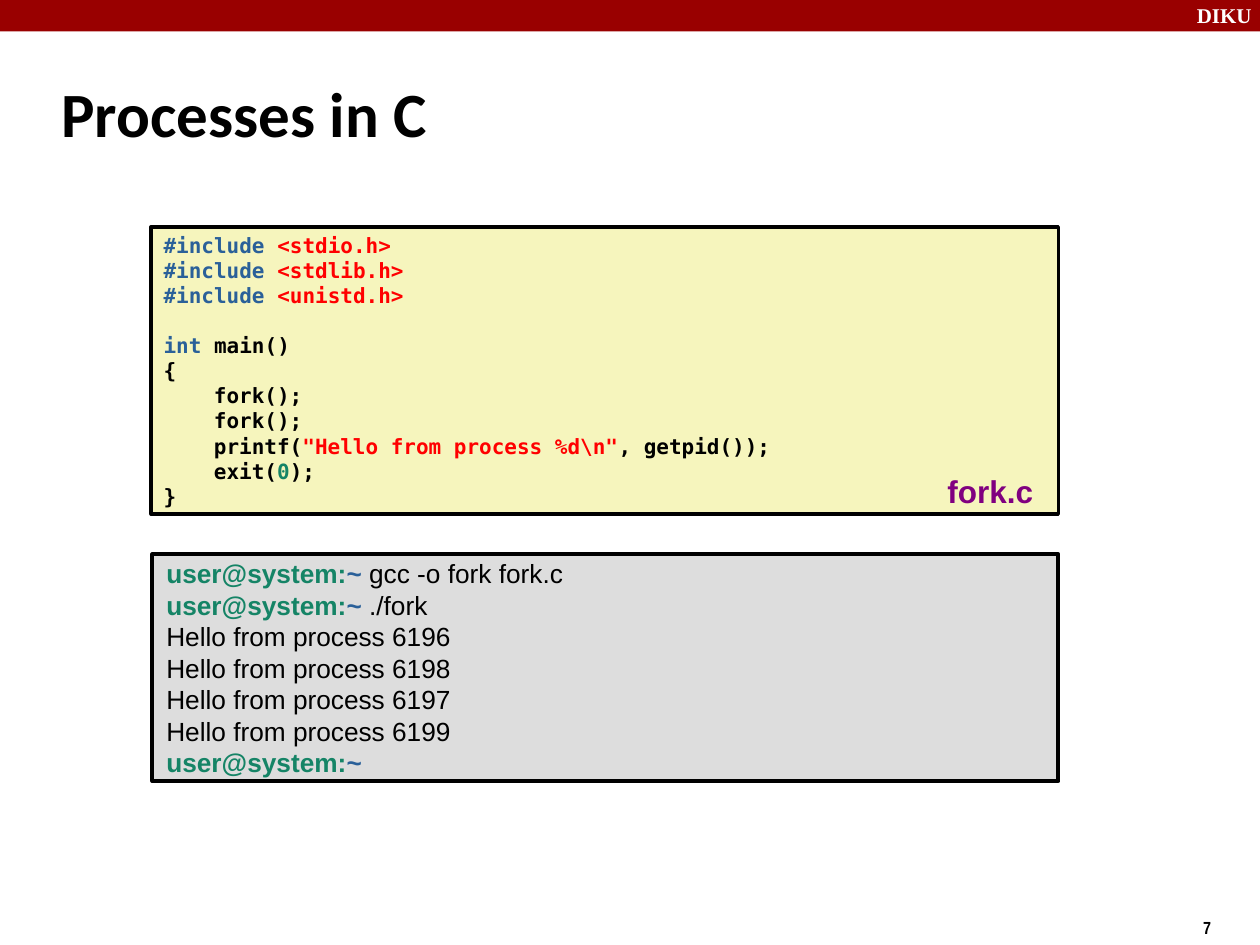
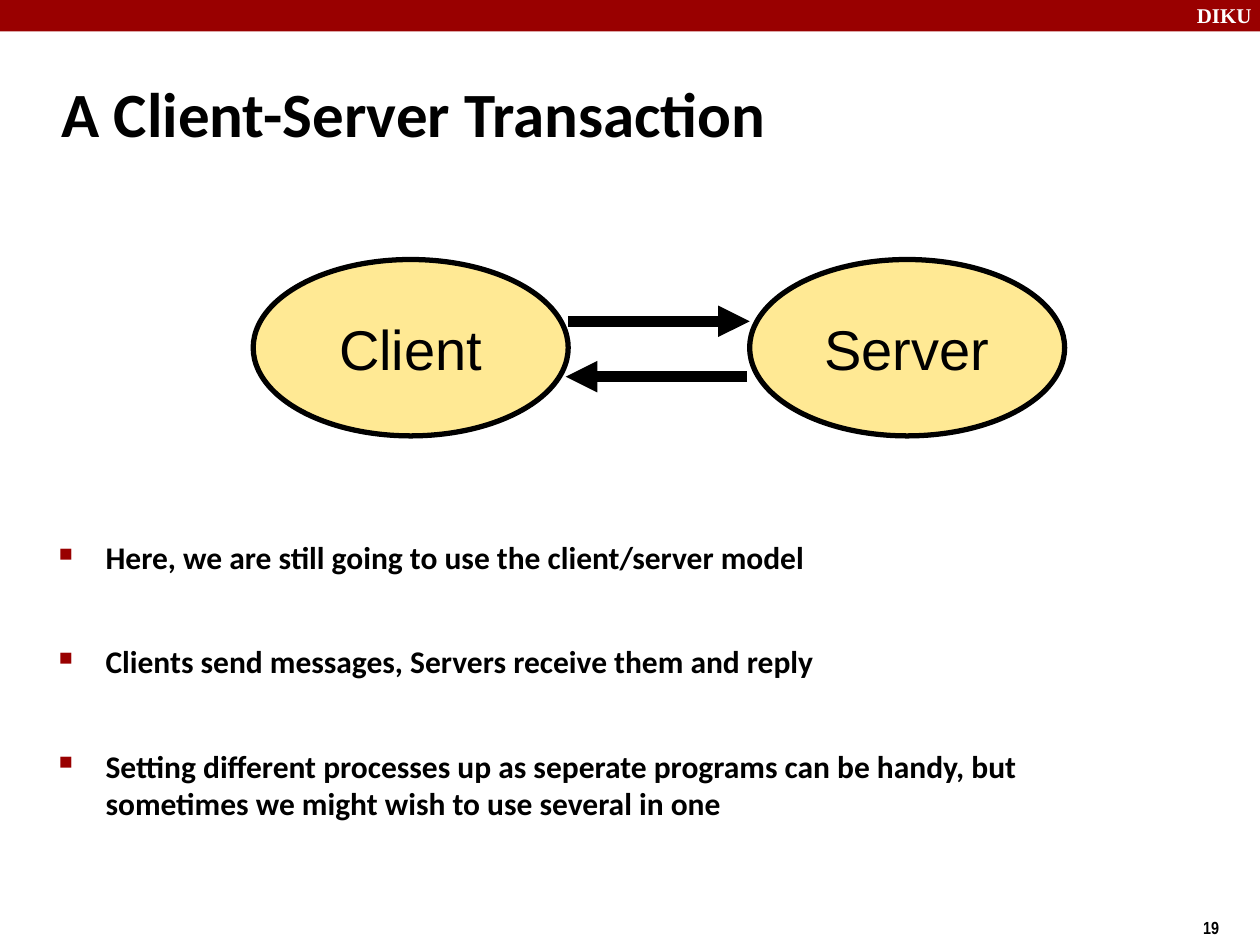
from lxml.etree import SubElement
from pptx import Presentation
from pptx.dml.color import RGBColor as Rgb
from pptx.enum.shapes import MSO_CONNECTOR as Conn, MSO_SHAPE as Geo
from pptx.enum.text import MSO_ANCHOR as Anchor, PP_ALIGN as Align
from pptx.oxml.ns import qn
from pptx.util import Inches, Pt

INK = {
    "black": "000000", "white": "FFFFFF", "band": "990000", "code": "F6F5BD",
    "shell": "DDDDDD", "oval": "FFE994", "word": "2A6099", "string": "FF0000",
    "green": "158466", "file": "800080",
}

FONTS = {
    "brand": dict(name="Times New Roman", size=12, bold=True, ink="white"),
    "page": dict(name="Arial Narrow", size=10, bold=True),
    "title": dict(name="Calibri", size=36, bold=True),
    "code": dict(name="DejaVu Sans Mono", size=12, bold=True),
    "shell": dict(name="Arial", size=15, bold=False),
    "file": dict(name="Arial", size=18, bold=True, ink="file"),
    "oval": dict(name="Arial", size=32, bold=False),
    "list": dict(name="Calibri", size=18, bold=True),
}

# A line is a list of runs: plain text, or (text, format changes).
WORD, STRING, NUM = ({"ink": ink} for ink in ("word", "string", "green"))
HEADS = ["stdio", "stdlib", "unistd"]
CODE = [[("#include ", WORD), (f"<{head}.h>", STRING)] for head in HEADS] + [
    [("int", WORD), " main()"],
    ["{"],
    ["fork();"],
    ["fork();"],
    ["printf(", ('"Hello from process %d\\n"', STRING), ", getpid());"],
    ["exit(", ("0", NUM), ");"],
    ["}"],
]
MAIN = len(HEADS)              # line that follows a one-line gap
BODY = range(MAIN + 2, len(CODE) - 1)

PROMPT = [("user@system:", {"ink": "green", "bold": True}),
          ("~", {"ink": "word", "bold": True})]
SHELL = (
    [PROMPT + [f" {cmd}"] for cmd in ("gcc -o fork fork.c", "./fork")]
    + [[f"Hello from process {pid}"] for pid in (6196, 6198, 6197, 6199)]
    + [PROMPT]
)

ROLES = ["Client", "Server"]
POINTS = [
    "Here, we are still going to use the client/server model",
    "Clients send messages, Servers receive them and reply",
    "Setting different processes up as seperate programs can be handy, "
    "but sometimes we might wish to use several in one",
]


def color(ink):
    return Rgb.from_string(INK[ink])


def write(shape, lines, style, anchor=Anchor.TOP, align=Align.LEFT, pad=(0.1, 0.05)):
    """Fill a shape with lines of runs and return the paragraphs."""
    frame = shape.text_frame
    across, down = map(Inches, pad)
    settings = dict(word_wrap=True, vertical_anchor=anchor, margin_left=across,
                    margin_right=across, margin_top=down, margin_bottom=down)
    for key, value in settings.items():
        setattr(frame, key, value)
    for i, line in enumerate(lines):
        para = frame.add_paragraph() if i else frame.paragraphs[0]
        para.alignment = align
        for part in line:
            text, change = (part, {}) if isinstance(part, str) else part
            run = para.add_run()
            run.text = text
            form = {"ink": "black", **FONTS[style], **change}
            run.font.color.rgb = color(form.pop("ink"))
            form["size"] = Pt(form["size"])
            for key, value in form.items():
                setattr(run.font, key, value)
    return frame.paragraphs


def label(slide, box, text, style, **opts):
    shape = slide.shapes.add_textbox(*map(Inches, box))
    return write(shape, [[text]], style, **opts)


def block(slide, geo, box, fill, width=0):
    shape = slide.shapes.add_shape(geo, *map(Inches, box))
    shape.shadow.inherit = False
    shape.fill.solid()
    shape.fill.fore_color.rgb = color(fill)
    if width:
        shape.line.color.rgb = color("black")
        shape.line.width = Pt(width)
    else:
        shape.line.fill.background()
    return shape


def arrow(slide, start, end, y):
    line = slide.shapes.add_connector(
        Conn.STRAIGHT, *map(Inches, (start, y, end, y)))
    line.line.color.rgb = color("black")
    line.line.width = Pt(6)
    SubElement(line.line._get_or_add_ln(), qn("a:tailEnd"), type="triangle")
    SubElement(line._element.spPr, qn("a:effectLst"))


def indent(para, left, hang=0):
    props = para._p.get_or_add_pPr()
    props.set("marL", str(Inches(left)))
    props.set("indent", str(-Inches(hang)))
    return props


def bullet(para):
    props = indent(para, 0.38, 0.37)
    tint = SubElement(props, qn("a:buClr"))
    SubElement(tint, qn("a:srgbClr"), val=INK["band"])
    SubElement(props, qn("a:buSzPct"), val="60000")
    SubElement(props, qn("a:buChar"), char="■")


def start(deck, title, page):
    """Add a slide with the band, page number and title."""
    slide = deck.slides.add_slide(deck.slide_layouts[6])
    block(slide, Geo.RECTANGLE, (0, 0, 10, 0.25), "band")
    label(slide, (9.4, -0.03, 0.67, 0.3), "DIKU", "brand")
    label(slide, (9.45, 7.23, 0.75, 0.29), str(page), "page")
    label(slide, (0.39, 0.48, 8.3, 0.83), title, "title", anchor=Anchor.MIDDLE)
    return slide


def fork(deck):
    slide = start(deck, "Processes in C", 7)
    code = block(slide, Geo.RECTANGLE, (1.2, 1.8, 7.2, 2.28), "code", 2)
    paras = write(code, CODE, "code", anchor=Anchor.MIDDLE)
    paras[MAIN].space_before = Pt(14)
    for i in BODY:
        indent(paras[i], 0.4)
    shell = block(slide, Geo.RECTANGLE, (1.21, 4.4, 7.19, 1.8), "shell", 2.3)
    write(shell, SHELL, "shell", anchor=Anchor.MIDDLE, pad=(0.11, 0.06))
    label(slide, (7.42, 3.7, 0.98, 0.38), "fork.c", "file")


def client(deck):
    slide = start(deck, "A Client-Server Transaction", 19)
    left, wide, gap = 2.01, 2.5, 1.44
    for i, role in enumerate(ROLES):
        box = (left + i * (wide + gap), 2.06, wide, 1.4)
        oval = block(slide, Geo.OVAL, box, "oval", 3)
        write(oval, [[role]], "oval", anchor=Anchor.MIDDLE,
              align=Align.CENTER, pad=(0.12, 0.07))
    near, far = left + wide, left + wide + gap
    arrow(slide, near, far, 2.55)
    arrow(slide, far - 0.02, near - 0.02, 2.99)

    body = slide.shapes.add_textbox(*map(Inches, (0.36, 4.22, 8.97, 2.82)))
    for i, para in enumerate(write(body, [[point] for point in POINTS], "list")):
        para.space_before = Pt(38 if i else 4.8)
        bullet(para)


def main():
    deck = Presentation()
    deck.slide_width, deck.slide_height = Inches(10), Inches(7.5)
    fork(deck)
    client(deck)
    deck.save("out.pptx")


if __name__ == "__main__":
    main()
